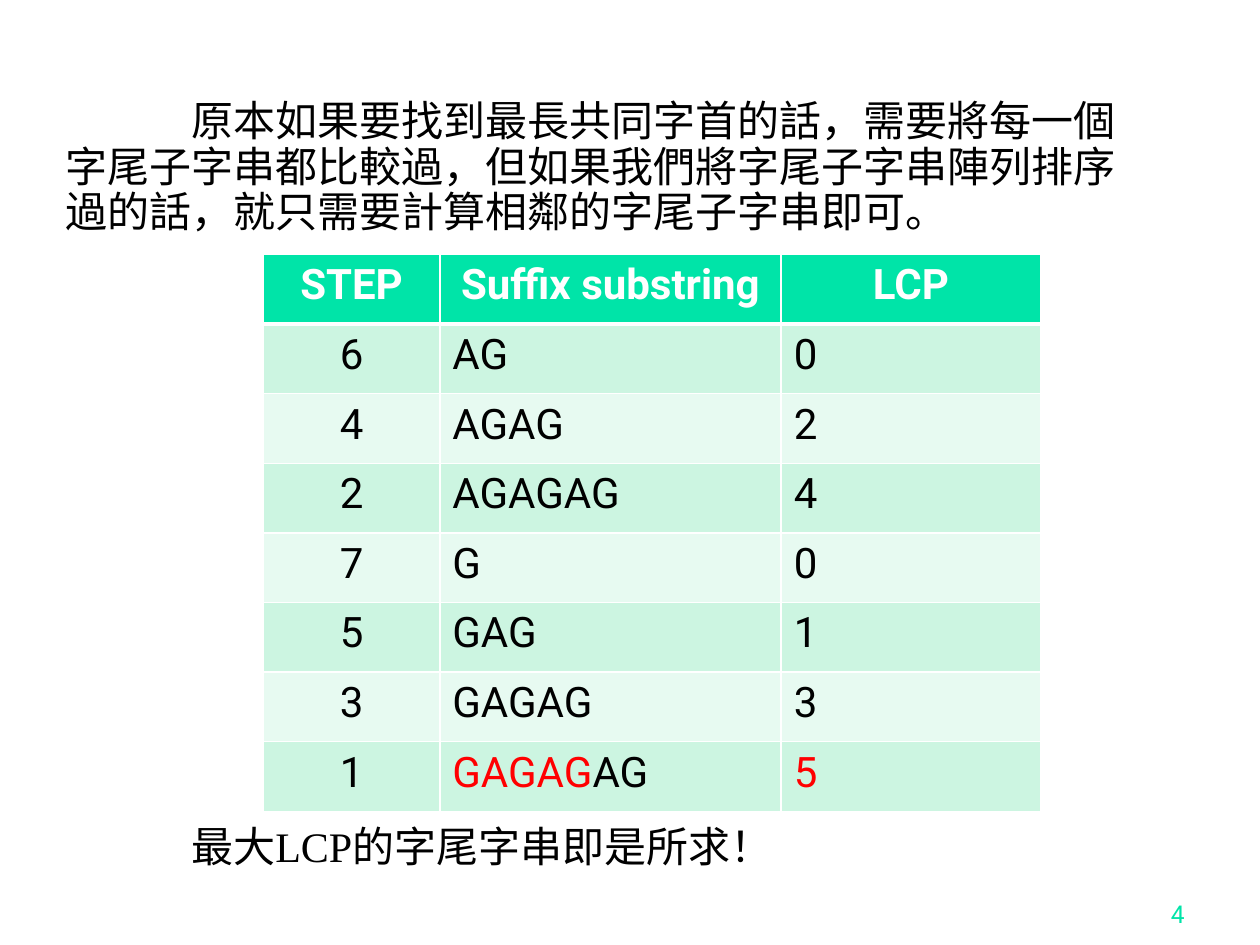
from lxml import etree
from pptx import Presentation
from pptx.dml.color import RGBColor
from pptx.enum.text import MSO_ANCHOR, PP_ALIGN
from pptx.oxml.ns import qn
from pptx.util import Inches, Pt

CENTER, RIGHT = PP_ALIGN.CENTER, PP_ALIGN.RIGHT
BOTTOM = MSO_ANCHOR.BOTTOM

WHITE = RGBColor(0xFF, 0xFF, 0xFF)
BLACK = RGBColor(0, 0, 0)
RED = RGBColor(0xFF, 0, 0)
MINT = RGBColor(0, 0xE4, 0xA8)
BANDS = RGBColor(0xCC, 0xF5, 0xE1), RGBColor(0xE7, 0xFA, 0xF1)

SANS, SERIF = "Roboto", "Times New Roman"
BODY_SIZE, NUMBER_SIZE = 24, 14

INTRO = ("原本如果要找到最長共同字首的話，需要將每一個字尾子字串都比較過，"
         "但如果我們將字尾子字串陣列排序過的話，就只需要計算相鄰的字尾子字串即可。")
CONCLUSION = "最大LCP的字尾字串即是所求！"
PAGE_NUMBER = "4"

HEADER = ("STEP", "Suffix substring", "LCP")
# step, shared prefix to highlight, rest of the suffix, LCP
SUFFIXES = [
    ("6", "", "AG", "0"),
    ("4", "", "AGAG", "2"),
    ("2", "", "AGAGAG", "4"),
    ("7", "", "G", "0"),
    ("5", "", "GAG", "1"),
    ("3", "", "GAGAG", "3"),
    ("1", "GAGAG", "AG", "5"),
]

TEXT_LEFT, TEXT_WIDTH = 0.42, 8.83
INTRO_TOP, CONCLUSION_TOP = 0.75, 6.51
TABLE_LEFT, TABLE_TOP = 2.09, 2.02
COLUMN_WIDTHS = (1.4, 2.71, 2.06)
ROW_HEIGHT = 4.42 / (len(SUFFIXES) + 1)


def style(font, color, size=BODY_SIZE, name=SANS, bold=False):
    font.name, font.size, font.bold = name, Pt(size), bold
    font.color.rgb = color


def add_text(slide, text, left, top, width, height):
    frame = slide.shapes.add_textbox(*map(Inches, (left, top, width, height))).text_frame
    frame.word_wrap = True
    frame.text = text
    return frame


def add_indented(slide, text, top, height):
    paragraph = add_text(slide, text, TEXT_LEFT, top, TEXT_WIDTH, height).paragraphs[0]
    properties = paragraph._p.get_or_add_pPr()
    properties.set("marL", "0")
    properties.set("indent", str(Inches(1)))
    paragraph.line_spacing = 0.9
    style(paragraph.runs[0].font, BLACK, name=SERIF)


def set_borders(cell, top, bottom):
    properties = cell._tc.get_or_add_tcPr()
    for side, width in (("lnL", 1), ("lnR", 1), ("lnT", top), ("lnB", bottom)):
        line = etree.SubElement(properties, qn(f"a:{side}"), w=str(Pt(width)))
        fill = etree.SubElement(line, qn("a:solidFill"))
        etree.SubElement(fill, qn("a:srgbClr"), val=str(WHITE))


def fill_cell(cell, pieces, background, centered, bold=False):
    """Write (text, colour) pieces into a cell."""
    cell.fill.solid()
    cell.fill.fore_color.rgb = background
    paragraph = cell.text_frame.paragraphs[0]
    if centered:
        paragraph.alignment = CENTER
    for text, color in pieces:
        if text:
            run = paragraph.add_run()
            run.text = text
            style(run.font, color, bold=bold)


def add_suffix_table(slide):
    row_count = len(SUFFIXES) + 1
    table = slide.shapes.add_table(
        row_count, len(HEADER), Inches(TABLE_LEFT), Inches(TABLE_TOP),
        Inches(sum(COLUMN_WIDTHS)), Inches(ROW_HEIGHT * row_count)).table
    for column, width in zip(table.columns, COLUMN_WIDTHS):
        column.width = Inches(width)
    for r, row in enumerate(table.rows):
        row.height = Inches(ROW_HEIGHT)
        for cell in row.cells:
            set_borders(cell, top=3 if r == 1 else 1, bottom=3 if r == 0 else 1)

    for c, title in enumerate(HEADER):
        fill_cell(table.cell(0, c), [(title, WHITE)], MINT, centered=True, bold=True)
    for r, (step, prefix, rest, lcp) in enumerate(SUFFIXES, 1):
        row = ([(step, BLACK)],
               [(prefix, RED), (rest, BLACK)],
               [(lcp, RED if prefix else BLACK)])
        for c, pieces in enumerate(row):
            fill_cell(table.cell(r, c), pieces, BANDS[(r - 1) % 2], centered=c == 0)


def main():
    deck = Presentation()
    deck.slide_width, deck.slide_height = Inches(10), Inches(7.5)
    slide = deck.slides.add_slide(deck.slide_layouts[6])

    number = add_text(slide, PAGE_NUMBER, 7.42, 6.92, 2.08, 0.5)
    number.vertical_anchor = BOTTOM
    number.paragraphs[0].alignment = RIGHT
    style(number.paragraphs[0].runs[0].font, MINT, size=NUMBER_SIZE)

    add_indented(slide, INTRO, INTRO_TOP, 1.2)
    add_indented(slide, CONCLUSION, CONCLUSION_TOP, 0.45)
    add_suffix_table(slide)
    deck.save("out.pptx")


if __name__ == "__main__":
    main()
